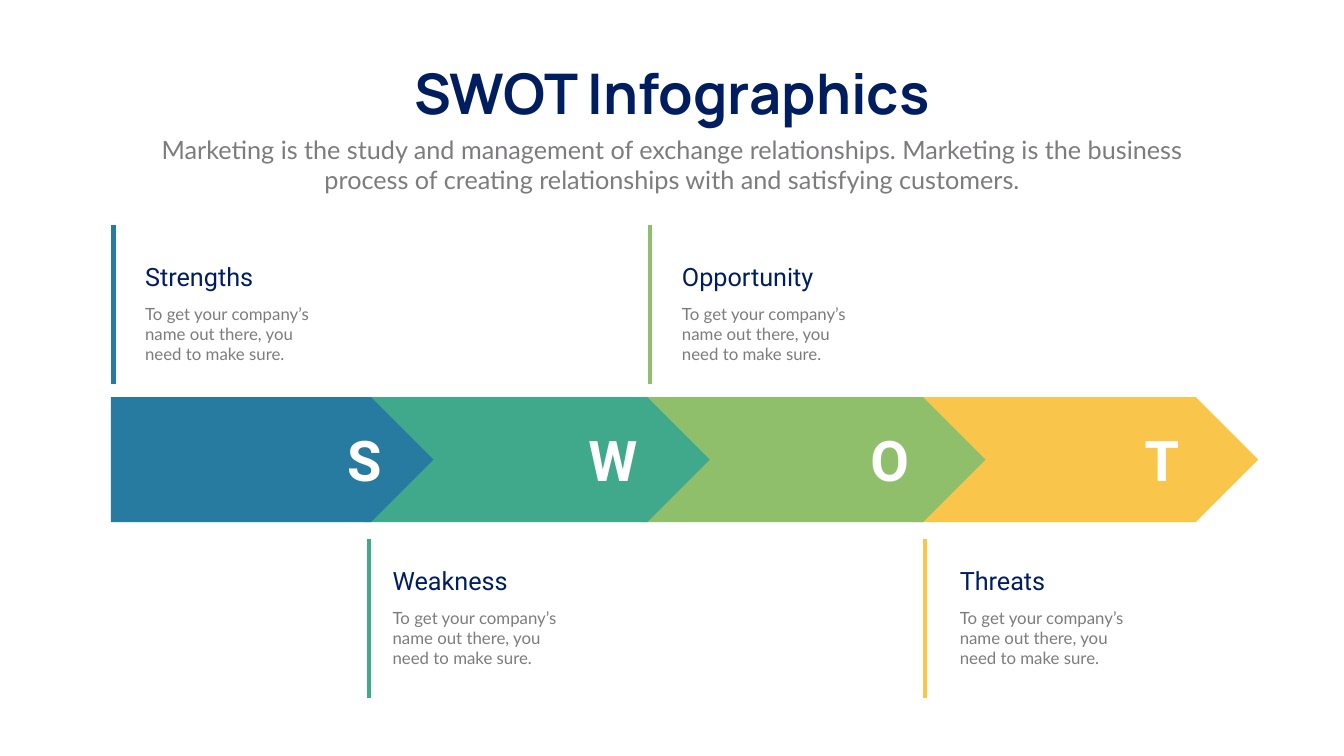
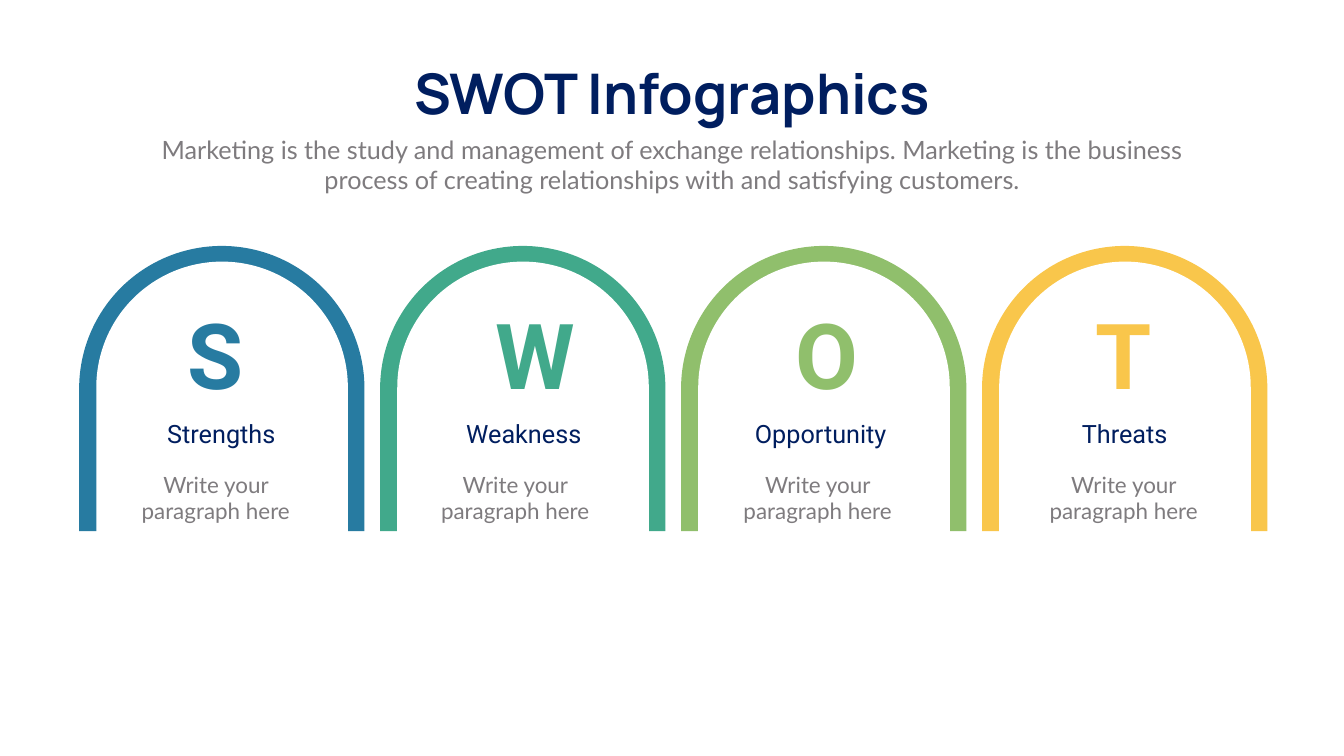
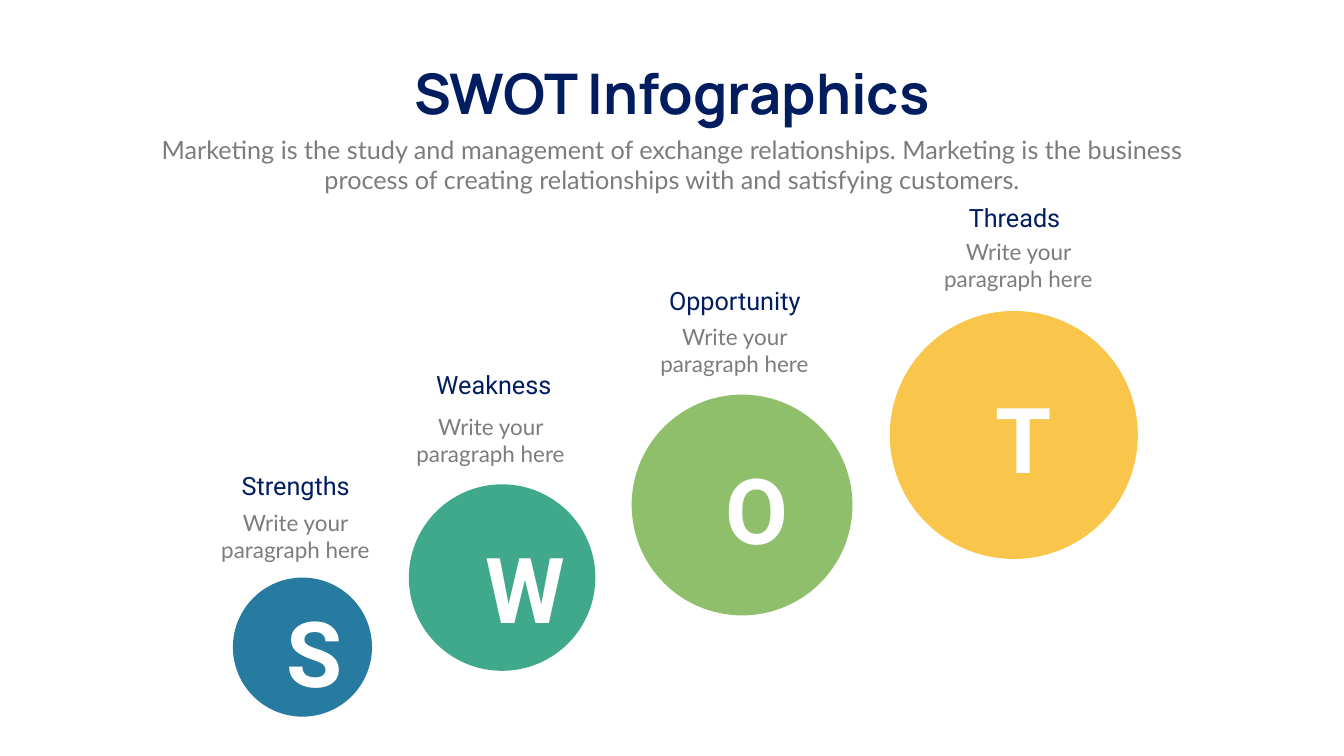
"""Build three SWOT infographic slides that share one title and one palette."""
from typing import NamedTuple

from lxml.etree import SubElement
from pptx import Presentation
from pptx.dml.color import RGBColor
from pptx.enum.shapes import MSO_CONNECTOR as Connector, MSO_SHAPE as Shape
from pptx.enum.text import MSO_ANCHOR as Anchor, MSO_AUTO_SIZE as AutoSize, PP_ALIGN as Align
from pptx.oxml.ns import qn
from pptx.util import Pt

EMU_PER_PX = 9144
SLIDE_SIZE = (2666, 1500)
SHORT_NOTE_SIZE = (318, 118)
TITLE_ONLY = 5

NAVY = RGBColor(0x00, 0x1E, 0x5F)
GRAY = RGBColor(0x7E, 0x7B, 0x7E)
WHITE = RGBColor(0xFF, 0xFF, 0xFF)
BLUE = RGBColor(0x27, 0x7B, 0xA1)
TEAL = RGBColor(0x41, 0xA9, 0x8B)
GREEN = RGBColor(0x90, 0xBF, 0x6C)
YELLOW = RGBColor(0xF9, 0xC6, 0x4B)

TITLE = "SWOT Infographics"
SUBTITLE = (
    "Marketing is the study and management of exchange relationships. "
    "Marketing is the business process of creating relationships with and satisfying customers."
)
COMPANY_NOTE = "To get your company’s name out there, you need to make sure."
SHORT_NOTE = "Write your paragraph here"


class Box(NamedTuple):
    left: int
    top: int
    width: int
    height: int


class Topic(NamedTuple):
    letter: str
    heading: str
    color: RGBColor


class Step(NamedTuple):
    arrow_left: int
    arrow_width: int
    letter_left: int
    bar_x: int
    bar_top: int
    text_left: int
    heading_top: int


class Arch(NamedTuple):
    letter_left: int
    heading_left: int
    note_left: int


class Bubble(NamedTuple):
    left: int
    top: int
    diameter: int
    letter: tuple[int, int]
    heading: tuple[int, int]
    note: tuple[int, int]


TOPICS = [
    Topic("S", "Strengths", BLUE),
    Topic("W", "Weakness", TEAL),
    Topic("O", "Opportunity", GREEN),
    Topic("T", "Threats", YELLOW),
]
STEPS = [
    Step(220, 640, 658, 225, 447, 278, 514),
    Step(723, 685, 1151, 732, 1069, 769, 1117),
    Step(1270, 685, 1700, 1290, 447, 1343, 514),
    Step(1811, 685, 2240, 1835, 1069, 1894, 1117),
]
ARCHES = [
    Arch(363, 276, 269),
    Arch(973, 876, 863),
    Arch(1568, 1465, 1463),
    Arch(2164, 2068, 2070),
]
BUBBLES = [
    Bubble(462, 1146, 276, (558, 1179), (437, 929), (427, 1006)),
    Bubble(811, 961, 370, (953, 1052), (830, 727), (814, 815)),
    Bubble(1253, 783, 438, (1429, 894), (1308, 562), (1298, 636)),
    Bubble(1765, 617, 492, (1965, 754), (1863, 396), (1861, 468)),
]


def px(length: int) -> int:
    return length * EMU_PER_PX


def write_text(shape, text: str, *, size: int, font: str, color: RGBColor,
               bold: bool = False, align=Align.CENTER, wrap: bool = True) -> None:
    frame = shape.text_frame
    frame.word_wrap = wrap
    frame.auto_size = AutoSize.SHAPE_TO_FIT_TEXT
    frame.vertical_anchor = Anchor.TOP
    paragraph = frame.paragraphs[0]
    paragraph.alignment = align
    run = paragraph.add_run()
    run.text = text
    run.font.size = Pt(size)
    run.font.name = font
    run.font.bold = bold
    run.font.color.rgb = color


def add_text(slide, box: Box, text: str, **text_format) -> None:
    write_text(slide.shapes.add_textbox(*map(px, box)), text, **text_format)


def add_letter(slide, box: Box, letter: str, color: RGBColor, size: int = 130) -> None:
    add_text(slide, box, letter, size=size, font="Roboto", color=color, bold=True)


def add_heading(slide, box: Box, heading: str, align=Align.CENTER) -> None:
    add_text(slide, box, heading, size=36, font="Roboto", color=NAVY, align=align)


def add_note(slide, box: Box, note: str, size: int = 32, align=Align.CENTER) -> None:
    add_text(slide, box, note, size=size, font="Lato", color=GRAY, align=align)


def add_filled(slide, kind, box: Box, color: RGBColor):
    shape = slide.shapes.add_shape(kind, *map(px, box))
    shape.shadow.inherit = False
    shape.fill.solid()
    shape.fill.fore_color.rgb = color
    shape.line.fill.background()
    return shape


def add_arch(slide, box: Box, color: RGBColor) -> None:
    arch = add_filled(slide, Shape.ROUND_2_SAME_RECTANGLE, box, color)
    arch.adjustments[0] = 0.5
    arch.adjustments[1] = 0


def add_bar(slide, x: int, top: int, color: RGBColor) -> None:
    ends = (x, top, x, top + 315)
    bar = slide.shapes.add_connector(Connector.STRAIGHT, *map(px, ends))
    bar.line.color.rgb = color
    bar.line.width = Pt(6)
    SubElement(bar.element.spPr, qn("a:effectLst"))


def add_titled_slide(presentation):
    slide = presentation.slides.add_slide(presentation.slide_layouts[TITLE_ONLY])
    title = slide.shapes.title
    title.left, title.top, title.width, title.height = map(px, Box(772, 112, 1122, 145))
    write_text(title, TITLE, size=80, font="Manrope", color=NAVY, bold=True, wrap=False)
    add_note(slide, Box(292, 261, 2082, 131), SUBTITLE, size=36)
    return slide


def build_arrow_slide(presentation) -> None:
    slide = add_titled_slide(presentation)
    steps = list(zip(TOPICS, STEPS))
    for topic, step in reversed(steps):
        arrow = Box(step.arrow_left, 788, step.arrow_width, 248)
        add_filled(slide, Shape.PENTAGON, arrow, topic.color)
    for topic, step in steps:
        add_letter(slide, Box(step.letter_left, 840, 130, 145), topic.letter, WHITE, size=80)
        add_bar(slide, step.bar_x, step.bar_top, topic.color)
        note = Box(step.text_left, step.heading_top + 84, 380, 131)
        add_note(slide, note, COMPANY_NOTE, size=24, align=Align.LEFT)
        heading = Box(step.text_left, step.heading_top, 326, 71)
        add_heading(slide, heading, topic.heading, align=Align.LEFT)


def build_arch_slide(presentation) -> None:
    slide = add_titled_slide(presentation)
    for index, (topic, arch) in enumerate(zip(TOPICS, ARCHES)):
        left = 157 + 597 * index
        add_arch(slide, Box(left, 488, 566, 566), topic.color)
        add_arch(slide, Box(left + 34, 519, 499, 869), WHITE)
        add_letter(slide, Box(arch.letter_left, 588, 130, 229), topic.letter, topic.color)
        add_heading(slide, Box(arch.heading_left, 826, 326, 71), topic.heading)
        add_note(slide, Box(arch.note_left, 929, *SHORT_NOTE_SIZE), SHORT_NOTE)


def build_bubble_slide(presentation) -> None:
    slide = add_titled_slide(presentation)
    headings = [topic.heading for topic in TOPICS[:3]] + ["Threads"]
    for topic, bubble, heading in zip(TOPICS, BUBBLES, headings):
        circle = Box(bubble.left, bubble.top, bubble.diameter, bubble.diameter)
        add_filled(slide, Shape.OVAL, circle, topic.color)
        add_letter(slide, Box(*bubble.letter, 85, 210), topic.letter, WHITE)
        add_heading(slide, Box(*bubble.heading, 299, 65), heading)
        add_note(slide, Box(*bubble.note, *SHORT_NOTE_SIZE), SHORT_NOTE)


def main() -> None:
    presentation = Presentation()
    presentation.slide_width, presentation.slide_height = map(px, SLIDE_SIZE)
    build_arrow_slide(presentation)
    build_arch_slide(presentation)
    build_bubble_slide(presentation)
    presentation.save("out.pptx")


if __name__ == "__main__":
    main()
